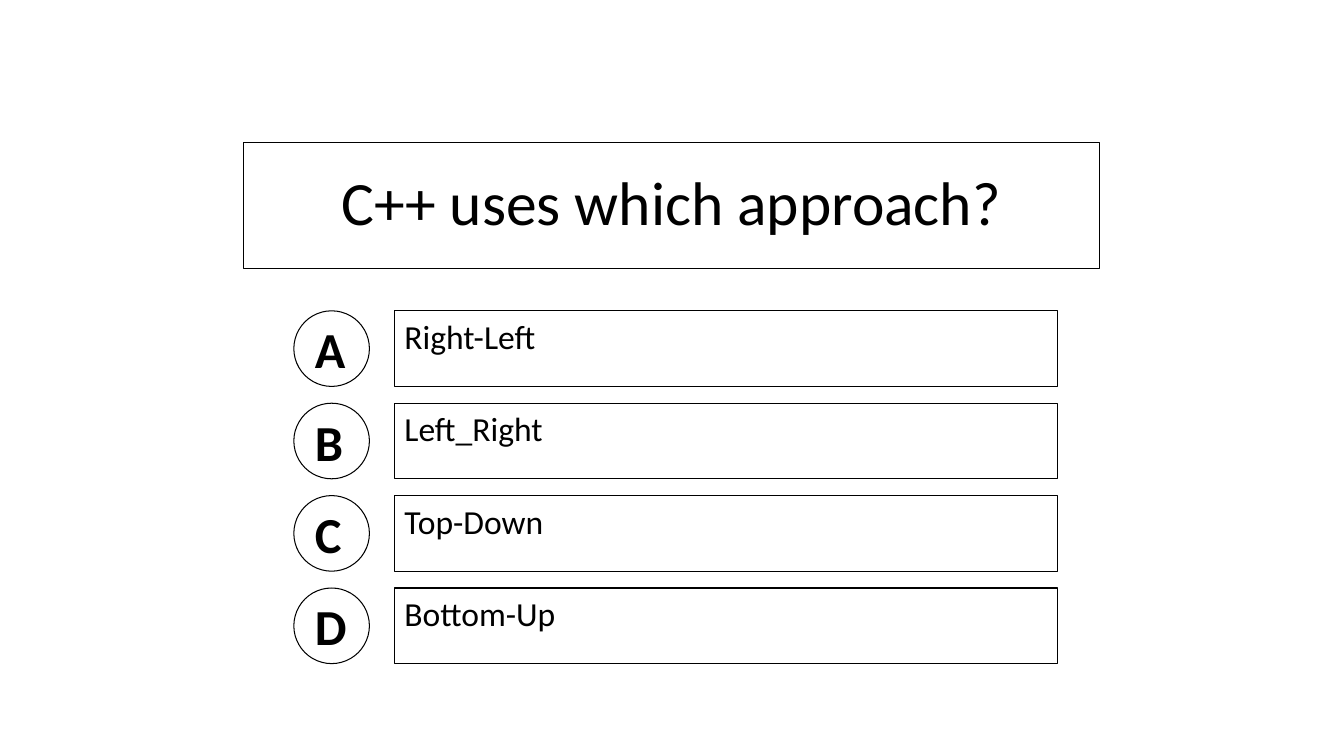
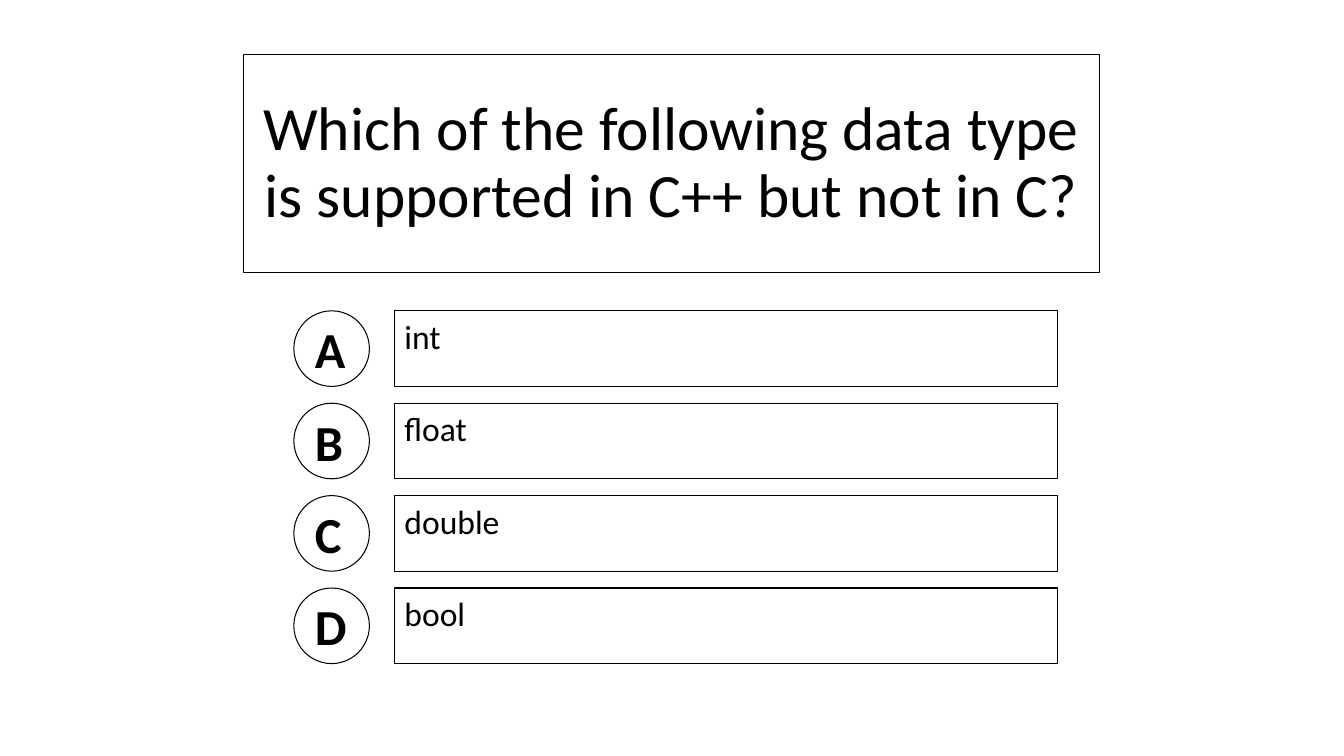
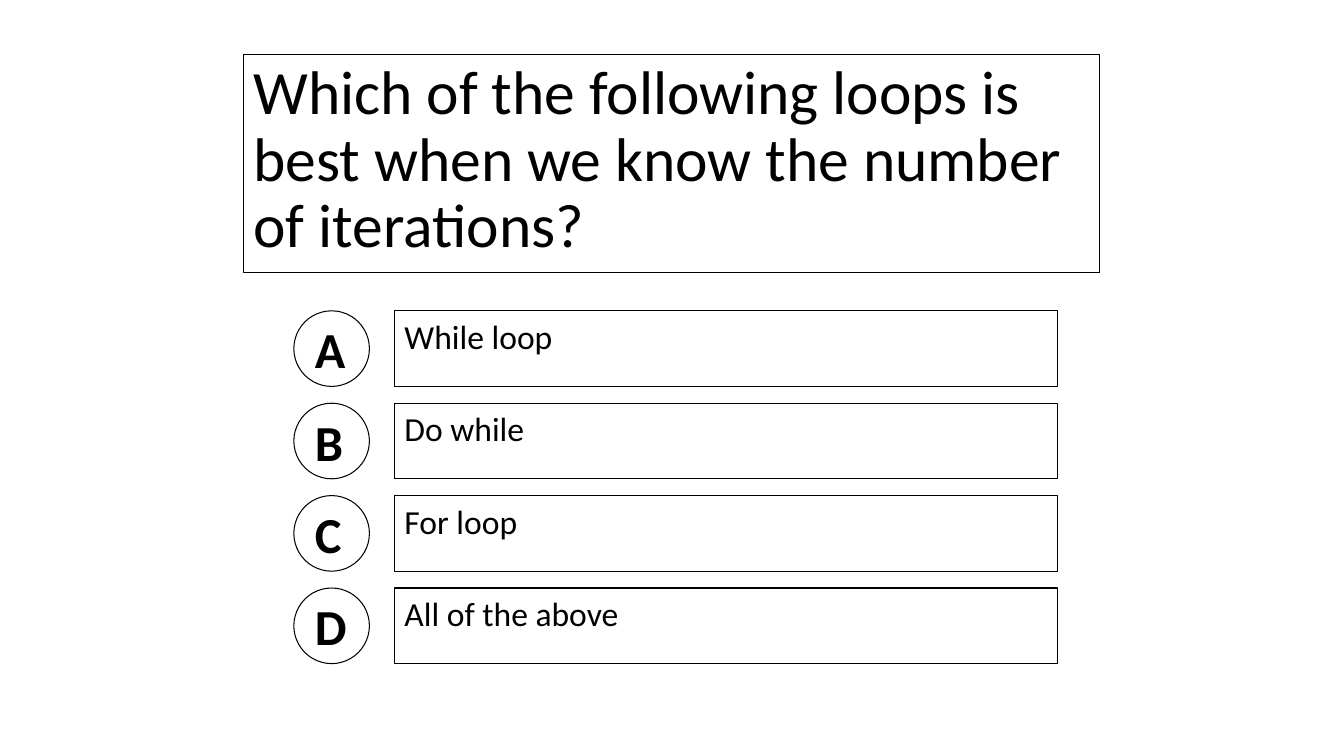
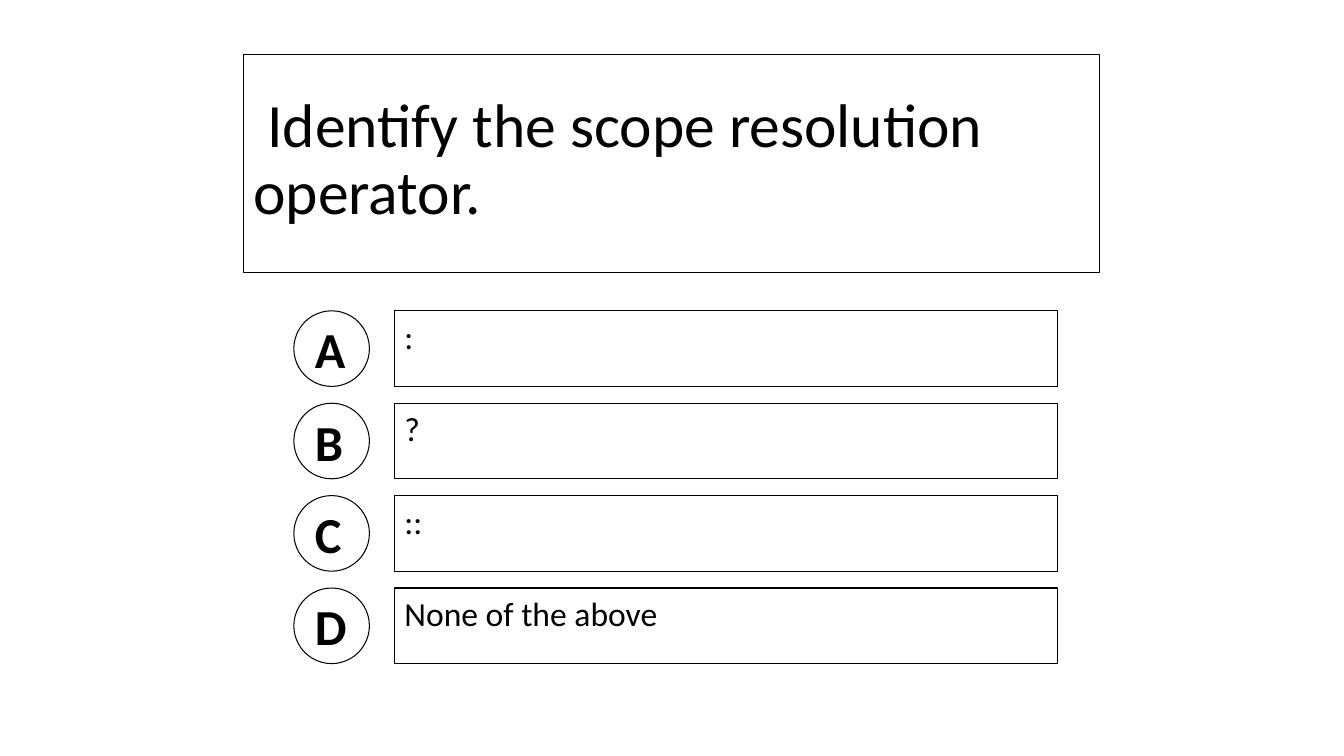
"""Build a four-slide C++ multiple-choice quiz."""
import dataclasses

import pptx
import pptx.dml.color
import pptx.enum.shapes
import pptx.enum.text
import pptx.util

SHAPE = pptx.enum.shapes.MSO_SHAPE
ALIGN = pptx.enum.text.PP_ALIGN
ANCHOR = pptx.enum.text.MSO_ANCHOR


@dataclasses.dataclass(frozen=True)
class Theme:
    ink: str = "000000"
    paper: str = "FFFFFF"
    font: str = "Calibri"
    question: int = 44
    letter: int = 36
    answer: int = 24
    line: float = 0.75


THEME = Theme()


def rgb(value):
    return pptx.dml.color.RGBColor.from_string(value)


def write(tf, text, *, size, bold=False, align=ALIGN.LEFT, anchor=ANCHOR.TOP,
          before=0, spacing=1.0, indent=0, bottom=0.05):
    tf.word_wrap = True
    tf.vertical_anchor = anchor
    tf.margin_left = tf.margin_right = pptx.util.Inches(0.1)
    tf.margin_top = pptx.util.Inches(0.05)
    tf.margin_bottom = pptx.util.Inches(bottom)
    p = tf.paragraphs[0]
    p.alignment = align
    p.space_before = pptx.util.Pt(before)
    p.line_spacing = spacing
    if indent:
        p._p.get_or_add_pPr().set("indent", str(pptx.util.Inches(indent)))
    r = p.add_run()
    r.text = text
    r.font.name = THEME.font
    r.font.size = pptx.util.Pt(size)
    r.font.bold = bold
    r.font.color.rgb = rgb(THEME.ink)


class Quiz:
    CELLS_PER_INCH = 12
    QUESTION_COL, QUESTION_COLS = 29, 102
    LETTER_COL, ANSWER_COL, ANSWER_COLS = 35, 47, 79
    FIRST_ROW, ROW_STEP, ROW_SPAN = 37, 11, 9

    def __init__(self):
        self.prs = pptx.Presentation()
        self.prs.slide_width = pptx.util.Inches(13.34)
        self.prs.slide_height = pptx.util.Inches(7.5)
        self.s = None

    def new_slide(self):
        self.s = self.prs.slides.add_slide(self.prs.slide_layouts[6])

    def outline(self, kind, *cells, fill=None):
        box = [pptx.util.Inches(n / self.CELLS_PER_INCH) for n in cells]
        sp = self.s.shapes.add_shape(kind, *box)
        sp.shadow.inherit = False
        sp.line.color.rgb = rgb(THEME.ink)
        sp.line.width = pptx.util.Pt(THEME.line)
        if fill:
            sp.fill.solid()
            sp.fill.fore_color.rgb = rgb(fill)
        else:
            sp.fill.background()
        return sp.text_frame

    def question(self, text, row=6.5, rows=26, **fmt):
        tf = self.outline(SHAPE.RECTANGLE, self.QUESTION_COL, row,
                          self.QUESTION_COLS, rows)
        write(tf, text, size=THEME.question, anchor=ANCHOR.MIDDLE,
              spacing=0.9, **fmt)

    def answers(self, texts):
        for i, (letter, text) in enumerate(zip("ABCD", texts)):
            row = self.FIRST_ROW + i * self.ROW_STEP
            tf = self.outline(SHAPE.OVAL, self.LETTER_COL, row,
                              self.ROW_SPAN, self.ROW_SPAN)
            write(tf, letter, size=THEME.letter, bold=True,
                  anchor=ANCHOR.MIDDLE)
            tf = self.outline(SHAPE.RECTANGLE, self.ANSWER_COL, row,
                              self.ANSWER_COLS, self.ROW_SPAN,
                              fill=THEME.paper)
            write(tf, text, size=THEME.answer, before=15)


QUESTIONS = [
    ("C++ uses which approach?",
     dict(row=17, rows=15, align=ALIGN.CENTER),
     ["Right-Left", "Left_Right", "Top-Down", "Bottom-Up"]),
    ("Which of the following data type is supported in C++ but not in C?",
     dict(align=ALIGN.CENTER),
     ["int", "float", "double", "bool"]),
    ("Which of the following loops is best when we know the number "
     "of iterations?",
     dict(bottom=0.1),
     ["While loop", "Do while", "For loop", "All of the above"]),
    ("Identify the scope resolution operator.",
     dict(bottom=0.1, indent=0.14),
     [":", "?", "::", "None of the above"]),
]


def main():
    quiz = Quiz()
    for text, fmt, answers in QUESTIONS:
        quiz.new_slide()
        quiz.question(text, **fmt)
        quiz.answers(answers)
    quiz.prs.save("out.pptx")


if __name__ == "__main__":
    main()
